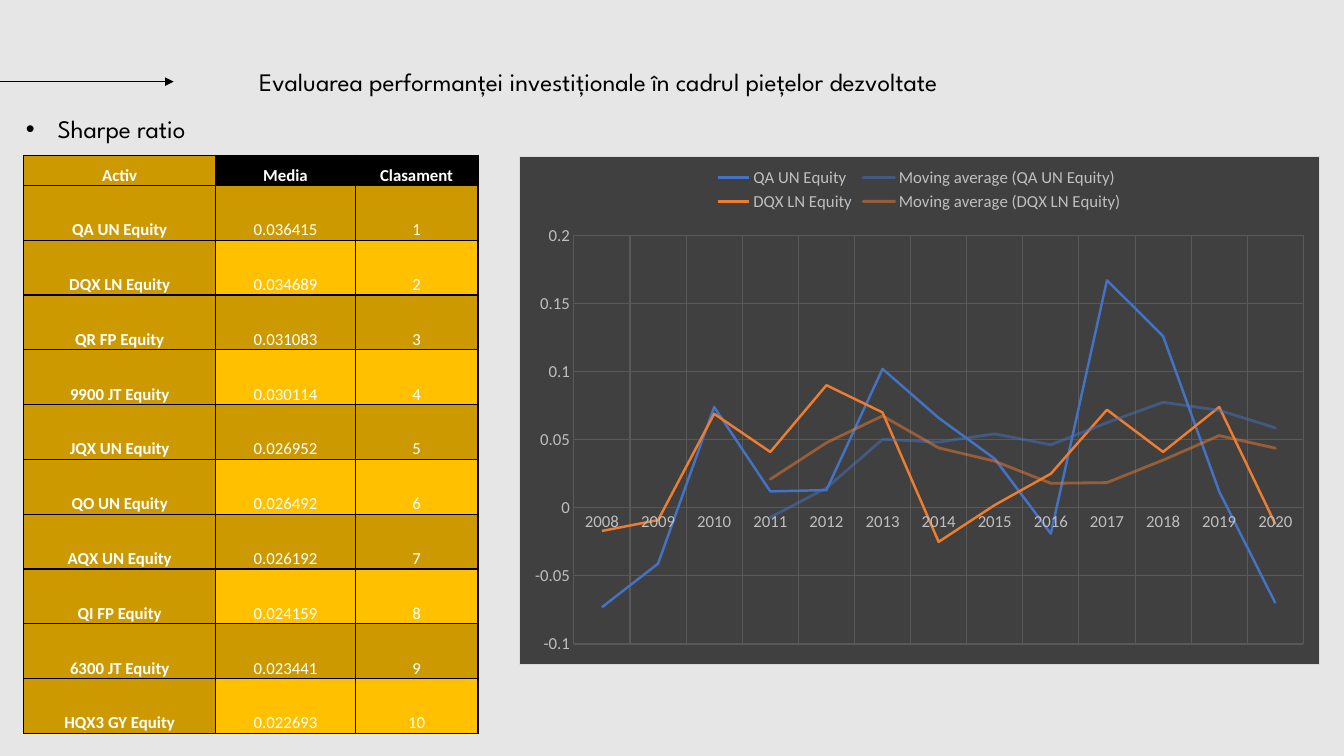
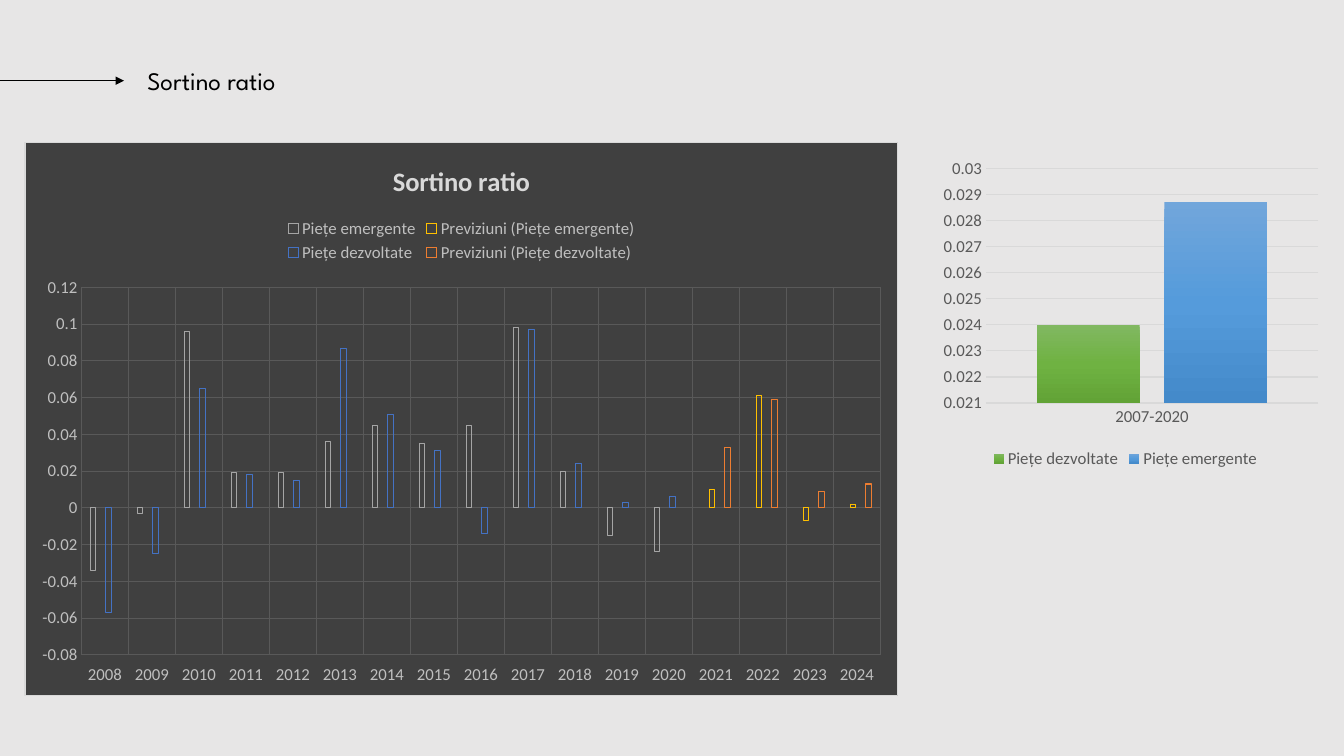
"""Build two slides comparing Sharpe and Sortino ratios across markets."""
from dataclasses import dataclass
from typing import Any, NamedTuple, Optional

from lxml.etree import SubElement
from pptx import Presentation
from pptx.chart.chart import Chart
from pptx.chart.data import CategoryChartData
from pptx.dml.color import RGBColor
from pptx.enum.chart import XL_CHART_TYPE as ChartType, XL_LEGEND_POSITION as LegendPosition
from pptx.enum.chart import XL_TICK_LABEL_POSITION as LabelPosition, XL_TICK_MARK as TickMark
from pptx.enum.shapes import MSO_CONNECTOR as Connector
from pptx.enum.text import MSO_ANCHOR as Anchor, MSO_AUTO_SIZE as AutoSize, PP_ALIGN as Align
from pptx.oxml import parse_xml
from pptx.oxml.ns import nsdecls, qn
from pptx.slide import Slide
from pptx.util import Pt


@dataclass(frozen=True)
class Theme:
    background: str = "E7E6E6"
    black: str = "000000"
    white: str = "FFFFFF"
    panel: str = "404040"
    panel_text: str = "BFBFBF"
    light_grid: str = "D9D9D9"
    dark_grey: str = "595959"
    dark_gold: str = "CC9A00"
    gold: str = "FFC000"
    blue: str = "4472C4"
    orange: str = "ED7D31"
    silver: str = "A5A5A5"
    greens: tuple = ("81B861", "6FB242", "62A336")
    blues: tuple = ("71A6DB", "559BDB", "448ACA")
    heading_font: str = "League Spartan"
    body_font: str = "Calibri"
    heading_size: float = 18
    chart_title_size: float = 19
    body_size: float = 12


THEME = Theme()


class Box(NamedTuple):
    left: float
    top: float
    width: float
    height: float

    def lengths(self) -> tuple:
        return tuple(map(Pt, self))


class Series(NamedTuple):
    name: str
    values: tuple
    color: str = ""
    gradient: tuple = ()


@dataclass(frozen=True)
class ChartPlan:
    box: Box
    kind: ChartType
    categories: tuple
    series: tuple
    scale: tuple
    dark: bool = True
    title: str = ""
    labels: LabelPosition = LabelPosition.NEXT_TO_AXIS
    gap: int = 100
    overlap: int = 0
    plot_area: Optional[tuple] = None


SHARPE_CHART = ChartPlan(
    Box(370.4, 111.2, 572.4, 363.6), ChartType.LINE, tuple(map(str, range(2008, 2021))),
    (Series("QA UN Equity", (-0.073, -0.041, 0.074, 0.012, 0.013, 0.102, 0.066, 0.036, -0.019,
                             0.167, 0.126, 0.012, -0.07), THEME.blue),
     Series("DQX LN Equity", (-0.017, -0.009, 0.069, 0.041, 0.09, 0.07, -0.025, 0.002, 0.025,
                              0.072, 0.041, 0.074, -0.012), THEME.orange)),
    (-0.1, 0.2, 0.05))

FORECAST_GAP, HISTORY_GAP = (None,) * 4, (None,) * 13
SORTINO_CHART = ChartPlan(
    Box(17.5, 101.4, 624.2, 396), ChartType.COLUMN_CLUSTERED, tuple(map(str, range(2008, 2025))),
    (Series("Piețe emergente", (-0.034, -0.003, 0.096, 0.019, 0.019, 0.036, 0.045, 0.035, 0.045,
                                0.098, 0.02, -0.015, -0.024) + FORECAST_GAP, THEME.silver),
     Series("Previziuni (Piețe emergente)", HISTORY_GAP + (0.01, 0.061, -0.007, 0.002), THEME.gold),
     Series("Piețe dezvoltate", (-0.057, -0.025, 0.065, 0.018, 0.015, 0.087, 0.051, 0.031, -0.014,
                                 0.097, 0.024, 0.003, 0.006) + FORECAST_GAP, THEME.blue),
     Series("Previziuni (Piețe dezvoltate)", HISTORY_GAP + (0.033, 0.059, 0.009, 0.013),
            THEME.orange)),
    (-0.08, 0.12, 0.02), title="Sortino ratio", labels=LabelPosition.LOW, gap=315, overlap=-40)

MARKETS_CHART = ChartPlan(
    Box(657.4, 101.4, 293, 236.2), ChartType.COLUMN_CLUSTERED, ("2007-2020",),
    (Series("Piețe dezvoltate", (0.024,), gradient=THEME.greens),
     Series("Piețe emergente", (0.0287,), gradient=THEME.blues)),
    (0.021, 0.03, 0.001), dark=False, overlap=-24, plot_area=(0.16, 0.08, 0.81, 0.71))

HEADERS = ("Activ", "Media", "Clasament")
RANKING = (("QA UN Equity", "0.036415"), ("DQX LN Equity", "0.034689"),
           ("QR FP Equity", "0.031083"), ("9900 JT Equity", "0.030114"),
           ("JQX UN Equity", "0.026952"), ("QO UN Equity", "0.026492"),
           ("AQX UN Equity", "0.026192"), ("QI FP Equity", "0.024159"),
           ("6300 JT Equity", "0.023441"), ("HQX3 GY Equity", "0.022693"))


def apply(target: Any, values: dict) -> None:
    for key, value in values.items():
        setattr(target, key, value)


def paint(fill: Any, color: str) -> None:
    fill.solid()
    fill.fore_color.rgb = RGBColor.from_string(color)


def style_font(font: Any, color: str, size: float, name: str = THEME.body_font,
               bold: bool = False) -> None:
    apply(font, {"name": name, "size": Pt(size), "bold": bold})
    font.color.rgb = RGBColor.from_string(color)


def style_line(line: Any, color: str, width: float) -> None:
    paint(line.fill, color)
    line.width = Pt(width)


def write_heading(shape: Any, text: str, box: Box, align: Align) -> None:
    apply(shape, dict(zip(box._fields, box.lengths())))
    frame = shape.text_frame
    frame.text = text
    apply(frame, {"word_wrap": True, "vertical_anchor": Anchor.TOP,
                  "auto_size": AutoSize.SHAPE_TO_FIT_TEXT})
    frame.paragraphs[0].alignment = align
    style_font(frame.paragraphs[0].runs[0].font, THEME.black, THEME.heading_size,
               THEME.heading_font)


def add_bullet(paragraph: Any, indent: float) -> None:
    properties = paragraph._p.get_or_add_pPr()
    properties.set("marL", str(Pt(indent)))
    properties.set("indent", str(-Pt(indent)))
    SubElement(properties, qn("a:buFont"), typeface="Arial")
    SubElement(properties, qn("a:buChar"), char="•")


def add_titled_slide(deck: Any, title: str, box: Box, align: Align, arrow_end: float) -> Slide:
    slide = deck.slides.add_slide(deck.slide_layouts[5])
    write_heading(slide.shapes.title, title, box, align)
    middle = Pt(box.top + box.height / 2)
    arrow = slide.shapes.add_connector(Connector.STRAIGHT, 0, middle, Pt(arrow_end), middle)
    if arrow_end == box.left:
        arrow.end_connect(slide.shapes.title, 1)
    style_line(arrow.line, THEME.black, 0.5)
    SubElement(arrow.line._get_or_add_ln(), qn("a:tailEnd"), type="triangle")
    SubElement(arrow._element.spPr, qn("a:effectLst"))
    return slide


def fill_cell(cell: Any, text: str, color: str, bold: bool) -> None:
    cell.text = text
    apply(cell, {"vertical_anchor": Anchor.BOTTOM, "margin_left": Pt(5), "margin_right": Pt(5),
                 "margin_top": 0, "margin_bottom": 0})
    paragraph = cell.text_frame.paragraphs[0]
    apply(paragraph, {"alignment": Align.CENTER, "line_spacing": 1.5})
    style_font(paragraph.runs[0].font, THEME.white, THEME.body_size, bold=bold)
    for side in ("lnL", "lnR", "lnT", "lnB"):
        cell._tc.get_or_add_tcPr().append(parse_xml(
            f'<a:{side} {nsdecls("a")} w="{Pt(1)}">{solid_xml(THEME.black)}</a:{side}>'))
    paint(cell.fill, color)


def add_ranking(slide: Slide, box: Box) -> None:
    rows = [HEADERS] + [(*entry, str(rank)) for rank, entry in enumerate(RANKING, 1)]
    table = slide.shapes.add_table(len(rows), len(HEADERS), *box.lengths()).table
    for column, width in zip(table.columns, (137, 99.8, 87.6)):
        column.width = Pt(width)
    for r, row in enumerate(rows):
        table.rows[r].height = Pt(39.15 if r else 20)
        body_color = THEME.dark_gold if r % 2 else THEME.gold
        for c, text in enumerate(row):
            color = THEME.dark_gold if c == 0 else body_color if r else THEME.black
            fill_cell(table.cell(r, c), text, color, r == 0 or c == 0)


def solid_xml(color: str, alpha: int = 100) -> str:
    return (f'<a:solidFill><a:srgbClr val="{color}"><a:alpha val="{alpha * 1000}"/>'
            f'</a:srgbClr></a:solidFill>')


def add_moving_average(element: Any, series: Series) -> None:
    element.find(qn("c:cat")).addprevious(parse_xml(
        f'<c:trendline {nsdecls("c", "a")}><c:name>Moving average ({series.name})</c:name>'
        f'<c:spPr><a:ln w="{Pt(2)}" cap="rnd">{solid_xml(series.color, 50)}</a:ln></c:spPr>'
        f'<c:trendlineType val="movingAvg"/><c:period val="4"/>'
        f'<c:dispRSqr val="0"/><c:dispEq val="0"/></c:trendline>'))


def fill_gradient(element: Any, colors: tuple) -> None:
    stops = "".join(f'<a:gs pos="{i * 50000}"><a:srgbClr val="{color}"/></a:gs>'
                    for i, color in enumerate(colors))
    properties = element.find(qn("c:spPr"))
    properties.replace(properties.find(qn("a:solidFill")), parse_xml(
        f'<a:gradFill {nsdecls("a")}><a:gsLst>{stops}</a:gsLst><a:lin ang="5400000"/></a:gradFill>'))


def style_series(chart: Chart, plan: ChartPlan) -> None:
    elements = chart.element.xpath(".//c:ser")
    for drawn, series, element in zip(chart.plots[0].series, plan.series, elements):
        if plan.kind == ChartType.LINE:
            drawn.smooth = False
            style_line(drawn.format.line, series.color, 1.75)
            add_moving_average(element, series)
            continue
        drawn.invert_if_negative = False
        if series.gradient:
            paint(drawn.format.fill, series.gradient[0])
            fill_gradient(element, series.gradient)
        else:
            drawn.format.fill.background()
            style_line(drawn.format.line, series.color, 0.75)


def style_axes(chart: Chart, plan: ChartPlan) -> None:
    apply(chart.value_axis, dict(zip(("minimum_scale", "maximum_scale", "major_unit"), plan.scale)))
    apply(chart.value_axis.tick_labels, {"number_format": "General",
                                         "number_format_is_linked": False})
    chart.category_axis.tick_label_position = plan.labels
    for axis, gridded in ((chart.category_axis, plan.dark), (chart.value_axis, True)):
        apply(axis, {"major_tick_mark": TickMark.NONE, "minor_tick_mark": TickMark.NONE,
                     "has_major_gridlines": gridded})
        axis.format.line.fill.background()
        if gridded:
            grid = THEME.dark_grey if plan.dark else THEME.light_grid
            style_line(axis.major_gridlines.format.line, grid, 0.75)
    if not plan.dark:
        style_line(chart.category_axis.format.line, THEME.light_grid, 1)


def style_areas(chart: Chart, plan: ChartPlan) -> None:
    clear = "<a:noFill/><a:ln><a:noFill/></a:ln>"
    panel = f'{solid_xml(THEME.panel)}<a:ln w="{Pt(0.75)}">{solid_xml(THEME.light_grid)}</a:ln>'
    chart_xml, area = chart.element.find(qn("c:chart")), chart.element.xpath(".//c:plotArea")[0]
    wrap = f'<c:spPr {nsdecls("c", "a")}>{{}}</c:spPr>'
    chart_xml.addnext(parse_xml(wrap.format(panel if plan.dark else clear)))
    area.append(parse_xml(wrap.format(clear)))
    if plan.plot_area:
        for automatic in area.findall(qn("c:layout")):
            area.remove(automatic)
        settings = [("layoutTarget", "inner"), ("xMode", "edge"), ("yMode", "edge")]
        settings += zip("xywh", plan.plot_area)
        parts = "".join(f'<c:{tag} val="{value}"/>' for tag, value in settings)
        area.insert(0, parse_xml(f'<c:layout {nsdecls("c")}><c:manualLayout>{parts}'
                                 f'</c:manualLayout></c:layout>'))


def add_ratio_chart(slide: Slide, plan: ChartPlan) -> None:
    data = CategoryChartData()
    data.categories = plan.categories
    for series in plan.series:
        data.add_series(series.name, series.values)
    chart = slide.shapes.add_chart(plan.kind, *plan.box.lengths(), data).chart
    apply(chart, {"has_legend": True, "has_title": bool(plan.title)})
    legend_side = LegendPosition.TOP if plan.dark else LegendPosition.BOTTOM
    apply(chart.legend, {"position": legend_side, "include_in_layout": False})
    for font in (chart.font, chart.legend.font):
        style_font(font, THEME.panel_text if plan.dark else THEME.dark_grey, THEME.body_size)
    if plan.title:
        chart.chart_title.text_frame.text = plan.title
        style_font(chart.chart_title.text_frame.paragraphs[0].runs[0].font,
                   THEME.light_grid, THEME.chart_title_size, bold=True)
    chart.plots[0].vary_by_categories = False
    if plan.kind == ChartType.COLUMN_CLUSTERED:
        apply(chart.plots[0], {"gap_width": plan.gap, "overlap": plan.overlap})
    for style in (style_axes, style_series, style_areas):
        style(chart, plan)


def main() -> None:
    deck = Presentation()
    apply(deck, {"slide_width": Pt(960), "slide_height": Pt(540)})
    paint(deck.slide_master.background.fill, THEME.background)
    sharpe = add_titled_slide(
        deck, "Evaluarea performanței investiționale în cadrul piețelor dezvoltate",
        Box(124, 43.8, 607, 29), Align.CENTER, 124)
    subtitle_box = Box(11.5, 77.5, 257, 29)
    subtitle = sharpe.shapes.add_textbox(*subtitle_box.lengths())
    write_heading(subtitle, "Sharpe ratio", subtitle_box, Align.LEFT)
    add_bullet(subtitle.text_frame.paragraphs[0], 22.5)
    add_ranking(sharpe, Box(17, 110.8, 324.4, 411.5))
    add_ratio_chart(sharpe, SHARPE_CHART)
    sortino = add_titled_slide(deck, "Sortino ratio", Box(98, 43.1, 124, 29), Align.LEFT, 88.6)
    for plan in (SORTINO_CHART, MARKETS_CHART):
        add_ratio_chart(sortino, plan)
    deck.save("out.pptx")


if __name__ == "__main__":
    main()
